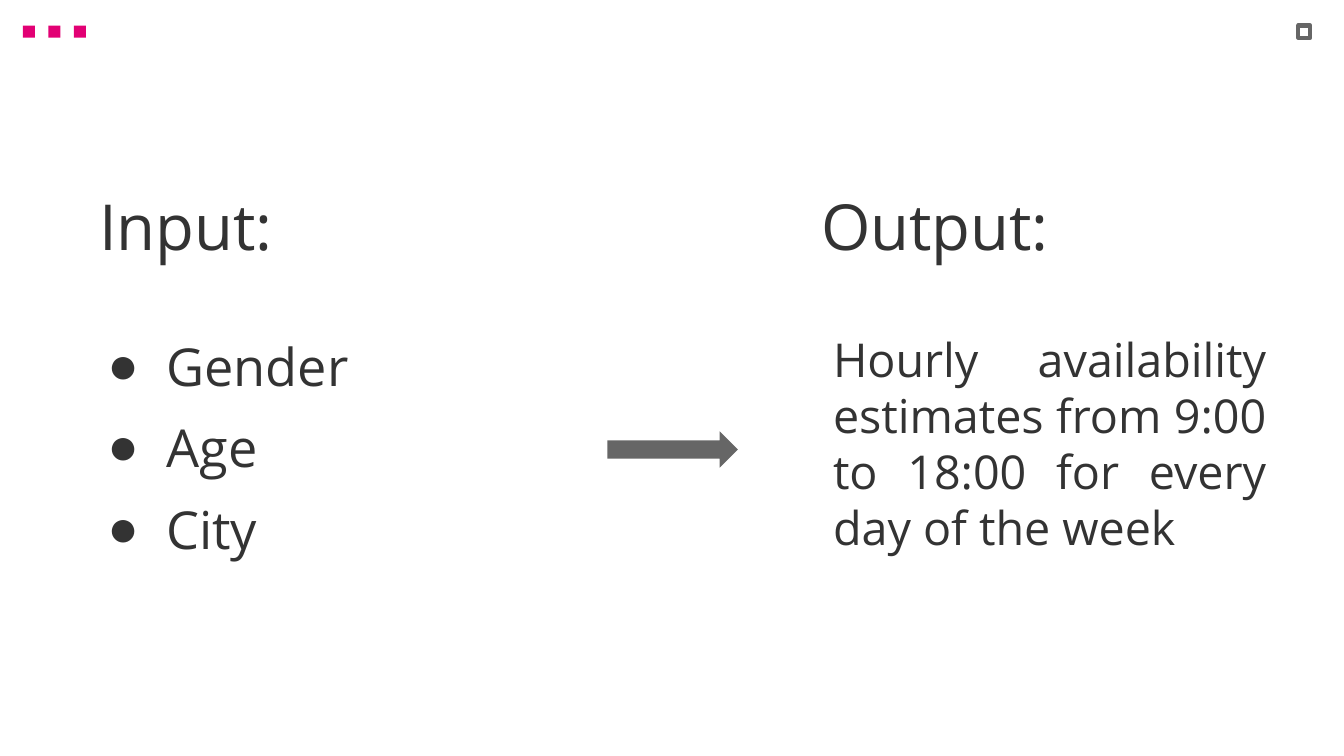
from dataclasses import dataclass

from lxml import etree
from pptx import Presentation
from pptx.dml.color import RGBColor
from pptx.enum.shapes import MSO_SHAPE
from pptx.enum.text import PP_ALIGN
from pptx.oxml.ns import qn
from pptx.util import Inches, Pt

RECTANGLE = MSO_SHAPE.RECTANGLE
RIGHT_ARROW = MSO_SHAPE.RIGHT_ARROW
JUSTIFY = PP_ALIGN.JUSTIFY
MAGENTA = RGBColor(0xE2, 0x00, 0x74)
GRAY = RGBColor(0x66, 0x66, 0x66)
INK = RGBColor(0x33, 0x33, 0x33)
FONT = "Open Sans"
BULLET_FONT = "Arial"


@dataclass(frozen=True)
class Box:
    left: float
    top: float
    width: float
    height: float

    def lengths(self) -> tuple:
        return tuple(Inches(v) for v in (self.left, self.top, self.width, self.height))


@dataclass(frozen=True)
class Line:
    text: str
    size: int
    space_after: int = 0
    tab_stop: float = 0
    bulleted: bool = False


def add_mark(slide, kind, box: Box, fill=None, outline=None):
    mark = slide.shapes.add_shape(kind, *box.lengths())
    mark.shadow.inherit = False
    if fill is None:
        mark.fill.background()
    else:
        mark.fill.solid()
        mark.fill.fore_color.rgb = fill
    if outline is None:
        mark.line.fill.background()
    else:
        mark.line.color.rgb = outline
        mark.line.width = Pt(2.25)


def add_bullet(paragraph):
    properties = paragraph._p.get_or_add_pPr()
    properties.set("marL", str(Inches(0.5)))
    properties.set("indent", str(Inches(-0.44)))
    color = etree.SubElement(properties, qn("a:buClr"))
    etree.SubElement(color, qn("a:srgbClr"), val=str(INK))
    etree.SubElement(properties, qn("a:buFont"), typeface=BULLET_FONT)
    etree.SubElement(properties, qn("a:buChar"), char="●")


def add_tab_stop(paragraph, position: float):
    tabs = etree.SubElement(paragraph._p.get_or_add_pPr(), qn("a:tabLst"))
    etree.SubElement(tabs, qn("a:tab"), pos=str(Inches(position)), algn="l")


def add_text(slide, box: Box, lines: list[Line]):
    frame = slide.shapes.add_textbox(*box.lengths()).text_frame
    frame.word_wrap = True
    frame.margin_left = frame.margin_right = Inches(0.1)
    frame.margin_top = frame.margin_bottom = Inches(0.1)
    for index, line in enumerate(lines):
        paragraph = frame.add_paragraph() if index else frame.paragraphs[0]
        paragraph.text = line.text
        paragraph.alignment = JUSTIFY
        paragraph.space_after = Pt(line.space_after)
        paragraph.font.name = FONT
        paragraph.font.size = Pt(line.size)
        paragraph.font.color.rgb = INK
        if line.bulleted:
            add_bullet(paragraph)
        if line.tab_stop:
            add_tab_stop(paragraph, line.tab_stop)


def main():
    presentation = Presentation()
    presentation.slide_width = Inches(10)
    presentation.slide_height = presentation.slide_width * 9 // 16
    slide = presentation.slides.add_slide(presentation.slide_layouts[6])

    for column in range(3):
        add_mark(slide, RECTANGLE, Box(0.17 + 0.19 * column, 0.19, 0.09, 0.09), fill=MAGENTA)

    headings = Line("Input:\tOutput:", 34, space_after=38, tab_stop=5.37)
    inputs = [
        Line(name, 28, space_after=10, bulleted=True)
        for name in ("Gender", "Age", "City")
    ]
    add_text(slide, Box(0.64, 1.29, 8.88, 3.02), [headings, *inputs])

    add_mark(slide, RIGHT_ARROW, Box(4.52, 3.21, 0.97, 0.27), fill=GRAY)

    output = Line("Hourly availability estimates from 9:00 to 18:00 for every day of the week", 25)
    add_text(slide, Box(6.1, 2.36, 3.42, 1.98), [output])

    add_mark(slide, RECTANGLE, Box(9.66, 0.19, 0.09, 0.09), outline=GRAY)

    presentation.save("out.pptx")


if __name__ == "__main__":
    main()
